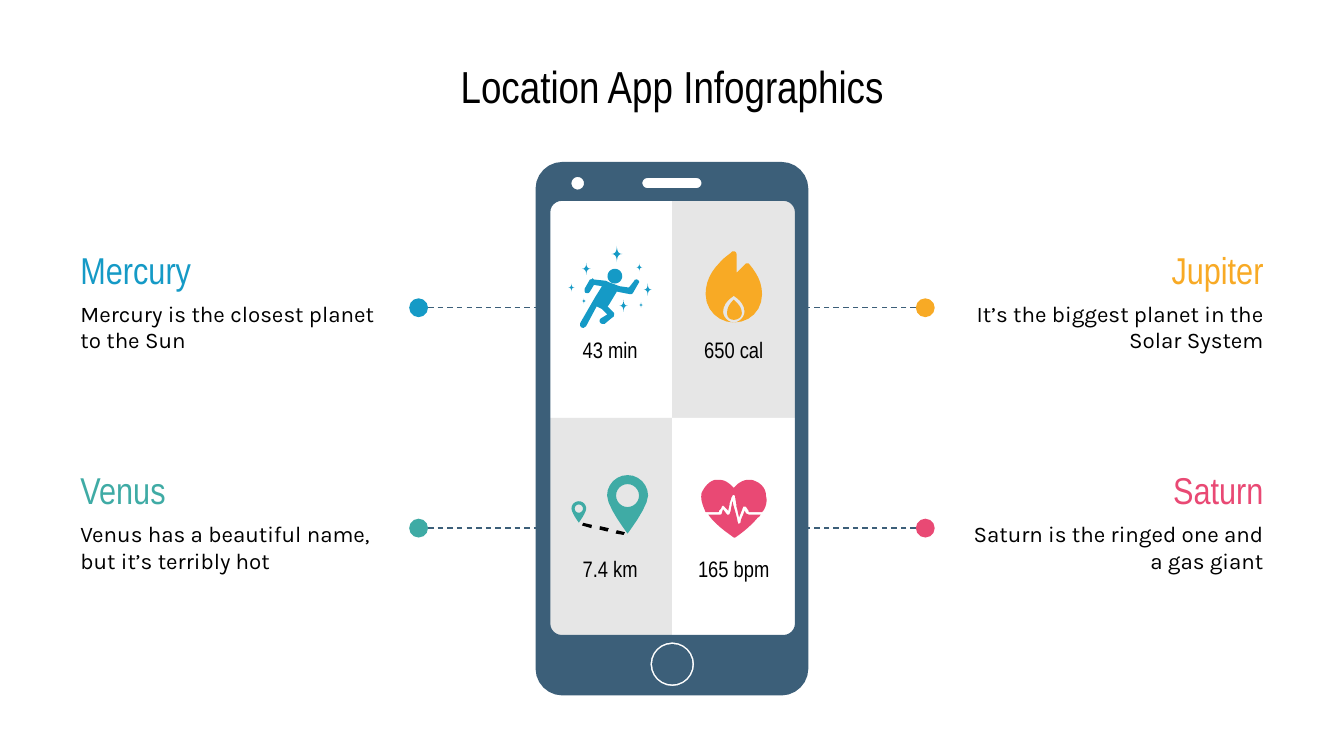
from lxml import etree
from pptx import Presentation, util as u
from pptx.dml.color import RGBColor
from pptx.enum import dml, shapes, text
from pptx.oxml.ns import qn

COLS = 1000
ROWS = COLS * 9 / 16
NAVY, GREY, WHITE, BLACK = "3C5F79", "E6E6E6", "FFFFFF", "000000"
BLUE, GOLD, TEAL, PINK = "159AC6", "F8AA25", "3FABA5", "E94974"

RUNNER = """M 441 207 L 440 208 439 208 435 215 C 435 216 435 218 436 218 438 218.5 438 218 439 217
L 442 212 448 213 443 221 432 240 C 431 242 432 244 434 244 435 244 435 243 436 243
L 444 228 448 230 452 234 447 237 C 445 239 447 241 448 241 449 241 449 241 450 241
L 456 236 C 457 236 457 234 457 233 L 452 228 C 452 228 453 227 453 227
L 459 217 469 219 C 470 219 470 219 471 218 L 475 211
C 476 210 476 209 474 208 473 208 472 208 472 209 L 468 214 461 213 453 210 451 209 442 208"""
HEART = """M 557 357 C 554 357 552 358 549 360 L 546 363 545 362 C 542 359 539 357 535 357
534 357 533 357 532 357 528 358 524 362 522 367 521 372 523 376 525 381 L 534 381
C 535 381 535 381 535 380 536 379 537 378 537 377 538 376 538 376 539 377
L 542 380 C 542 378 543 376 543 374 544 372 544 370 545 369 545 368 546 368 547 369
547 372 548 374 548 377 549 380 549 382 550 385 551 382 552 380 553 377 554 377 554 377 555 377
L 557 380 C 557 381 557 381 558 381 L 567 381 C 567 381 567 381 568 380
570 377 571 373 570 369 570 364 567 360 562 358 560 357 559 357 557 357"""
BASE = """M 545 373 C 544 377 544 380 543 382 543 383 542 383 541 383 L 538 379 537 382
C 537 383 536 383 535 383 L 527 383 C 532 390 539 395 546 400 546 400 547 400 547 400
553 396 559 391 564 385 565 385 565 384 566 383 L 558 383 C 557 383 557 383 555 382
L 554 380 C 554 381 553 382 553 383 552 385 551 387 551 389 550 390 549 390 549 389
548 383 546 378 545 373"""
SPARK = "M 546 223 C 544 225 541 228 541 233 541 236 543 238 546 238 549 238 552 236 552 233 552 228 548 225 546 223"
FLAME = """M 546 187 C 546 187 546 187 545 187 542 190 538 192 535 196 529 202 525 210 525 219
525 231 535 240 546 240 542 240 538 236 538 232 538 225 545 221 545 221 546 220 546 220 547 221
547 221 554 225 554 232 554 236 550 240 546 240 558 240 567 231 567 219 567 210 563 203 557 196
557 196 556 196 555 196 L 548 203 548 189 C 548 188 547 187 546 187"""
TRAIL = """M 434 389 L 433 391 440 393 440.5 390.5 M 446.5 391.5 L 446 394 452 395.5 453 393
M 459 394.5 L 458 397 464 398 465 396"""


def ring(x, y, w, h, r):
    a, b, k = x + w, y + h, 0.45 * r
    return (f"M {x + r} {y} L {a - r} {y} C {a - k} {y} {a} {y + k} {a} {y + r} "
            f"L {a} {b - r} C {a} {b - k} {a - k} {b} {a - r} {b} "
            f"L {x + r} {b} C {x + k} {b} {x} {b - k} {x} {b - r} "
            f"L {x} {y + r} C {x} {y + k} {x + k} {y} {x + r} {y} ")


def pin(x, y, w, h):
    r, a, b = w / 2, x + w, y + h
    m, k, d = x + r, 0.45 * r, 0.56 * w
    return (f"M {m} {y} C {x + k} {y} {x} {y + k} {x} {y + r} {x} {y + 1.55 * r} {m} {b} {m} {b} "
            f"{m} {b} {a} {y + 1.55 * r} {a} {y + r} {a} {y + k} {a - k} {y} {m} {y} "
            + ring(m - d / 2, y + r - d / 2, d, d, d / 2))


def star(x, y, w, h):
    a, b, m, n = x + w, y + h, x + w / 2, y + h / 2
    p, q = w / 6, h / 6
    return (f"M {m} {y} C {m} {n - q} {m - p} {n} {x} {n} {m - p} {n} {m} {n + q} {m} {b} "
            f"{m} {n + q} {m + p} {n} {a} {n} {m + p} {n} {m} {n - q} {m} {y}")


def bend(start, nums, steps=6):
    for i in range(1, steps + 1):
        t = i / steps
        s = 1 - t
        yield tuple(s**3 * start[j] + 3 * s * s * t * nums[j] + 3 * s * t * t * nums[j + 2]
                    + t**3 * nums[j + 4] for j in (0, 1))


def trace(part):
    pts, nums, mode = [], [], "L"
    for word in part.split():
        if word.isalpha():
            mode = word
            continue
        nums.append(float(word))
        if len(nums) == (6 if mode == "C" else 2):
            pts += bend(pts[-1], nums) if mode == "C" else [tuple(nums)]
            nums = []
    return pts


def tint(code):
    return RGBColor.from_string(code)


def write(frame, words, size=12, font="Arial Narrow", color=BLACK, align="LEFT"):
    frame.word_wrap = True
    frame.vertical_anchor = text.MSO_ANCHOR.MIDDLE
    frame.margin_left = frame.margin_right = frame.margin_top = frame.margin_bottom = u.Inches(0.1)
    para = frame.paragraphs[0]
    para.alignment = getattr(text.PP_ALIGN, align)
    run = para.add_run()
    run.text = words
    run.font.size, run.font.name = u.Pt(size), font
    run.font.color.rgb = tint(color)


class Board:
    def __init__(self):
        self.deck = Presentation()
        self.deck.slide_width = u.Inches(10)
        self.deck.slide_height = u.Inches(10) * 9 // 16
        self.slide = self.deck.slides.add_slide(self.deck.slide_layouts[6])
        self.items = self.slide.shapes

    def col(self, n):
        return round(n * self.deck.slide_width / COLS)

    def row(self, n):
        return round(n * self.deck.slide_height / ROWS)

    def box(self, x, y, w, h):
        return self.col(x), self.row(y), self.col(w), self.row(h)

    def paint(self, item, color):
        item.shadow.inherit = False
        item.fill.solid()
        item.fill.fore_color.rgb = tint(color)
        item.line.fill.background()
        return item

    def shape(self, kind, area, color):
        return self.paint(self.items.add_shape(kind, *self.box(*area)), color)

    def label(self, area, words, **style):
        write(self.items.add_textbox(*self.box(*area)).text_frame, words, **style)

    def draw(self, outline, color):
        loops = [[(self.col(x), self.row(y)) for x, y in trace(part)]
                 for part in outline.split("M")[1:]]
        pen = self.items.build_freeform(*loops[0][0])
        for i, loop in enumerate(loops):
            if i:
                pen.move_to(*loop[0])
            pen.add_line_segments(loop[1:], close=True)
        self.paint(pen.convert_to_shape(), color)

    def dash(self, x, end, y, cell, side):
        line = self.items.add_connector(shapes.MSO_CONNECTOR.STRAIGHT, self.col(x), self.row(y),
                                        self.col(end), self.row(y))
        line.line.color.rgb = tint(NAVY)
        line.line.width = u.Pt(0.75)
        line.line.dash_style = dml.MSO_LINE.DASH
        etree.SubElement(line._element.spPr, qn("a:effectLst"))
        if cell is not None:
            line.end_connect(cell, side)


def main():
    board = Board()
    rect, oval = shapes.MSO_SHAPE.RECTANGLE, shapes.MSO_SHAPE.OVAL
    pitch = 164
    cells = {}
    for right, low, color in ((1, 0, GREY), (0, 1, GREY), (1, 1, WHITE)):
        area = (408 + 92 * right, 147 + pitch * low, 92, pitch)
        cells[right, low] = board.shape(rect, area, color)

    board.draw(ring(398.5, 120.5, 203, 397, 20) + ring(478, 132.5, 44, 7.5, 3.7)
               + ring(425.2, 131.7, 9.4, 9.4, 4.7) + ring(409.5, 149.5, 182, 323, 8.5)
               + ring(484, 478, 32.5, 32.5, 16.2), NAVY)
    board.shape(oval, (485.25, 479.25, 30, 30), NAVY)
    board.label((232.5, 42.5, 535, 42), "Location App Infographics", size=24, align="CENTER")

    stars = [star(*area) for area in (
        (479, 211, 6, 9), (433, 195.5, 6.5, 9), (461, 223, 6, 9), (473.5, 196, 4.5, 6),
        (423, 211, 4.5, 6), (433, 222, 3, 4), (475.5, 225, 3, 4), (455, 183, 8, 12))]
    topics = (
        (0, 0, "Mercury", "Mercury is the closest planet to the Sun", "43 min", BLUE,
         [RUNNER, ring(452, 200, 11, 11, 5.5), *stars]),
        (1, 0, "Jupiter", "It’s the biggest planet in the Solar System", "650 cal", GOLD,
         [SPARK, FLAME]),
        (0, 1, "Venus", "Venus has a beautiful name, but it’s terribly hot", "7.4 km", TEAL,
         [pin(425.2, 373, 11, 16), pin(451.7, 353.5, 30.5, 43.5)]),
        (1, 1, "Saturn", "Saturn is the ringed one and a gas giant", "165 bpm", PINK,
         [HEART, BASE]))
    for right, low, name, fact, value, color, icon in topics:
        def place(x, w=0):
            return COLS - x - w if right else x

        drop = pitch * low
        align = "RIGHT" if right else "LEFT"
        board.label((place(50, 244), 206 + drop, 244, 74), fact, font="Karla", align=align)
        board.label((place(50, 244), 178 + drop, 244, 45), name, size=20, color=color, align=align)
        board.dash(place(318.5), place(408), 229 + drop, cells.get((right, low)), 3 if right else 1)
        board.shape(oval, (place(304.5, 14), 222 + drop, 14, 14), color)
        for outline in icon:
            board.draw(outline, color)
        board.label((place(414, 80), 236 + (pitch - 1) * low, 80, 48), value, align="CENTER")
    board.draw(TRAIL, BLACK)
    board.deck.save("out.pptx")


if __name__ == "__main__":
    main()
